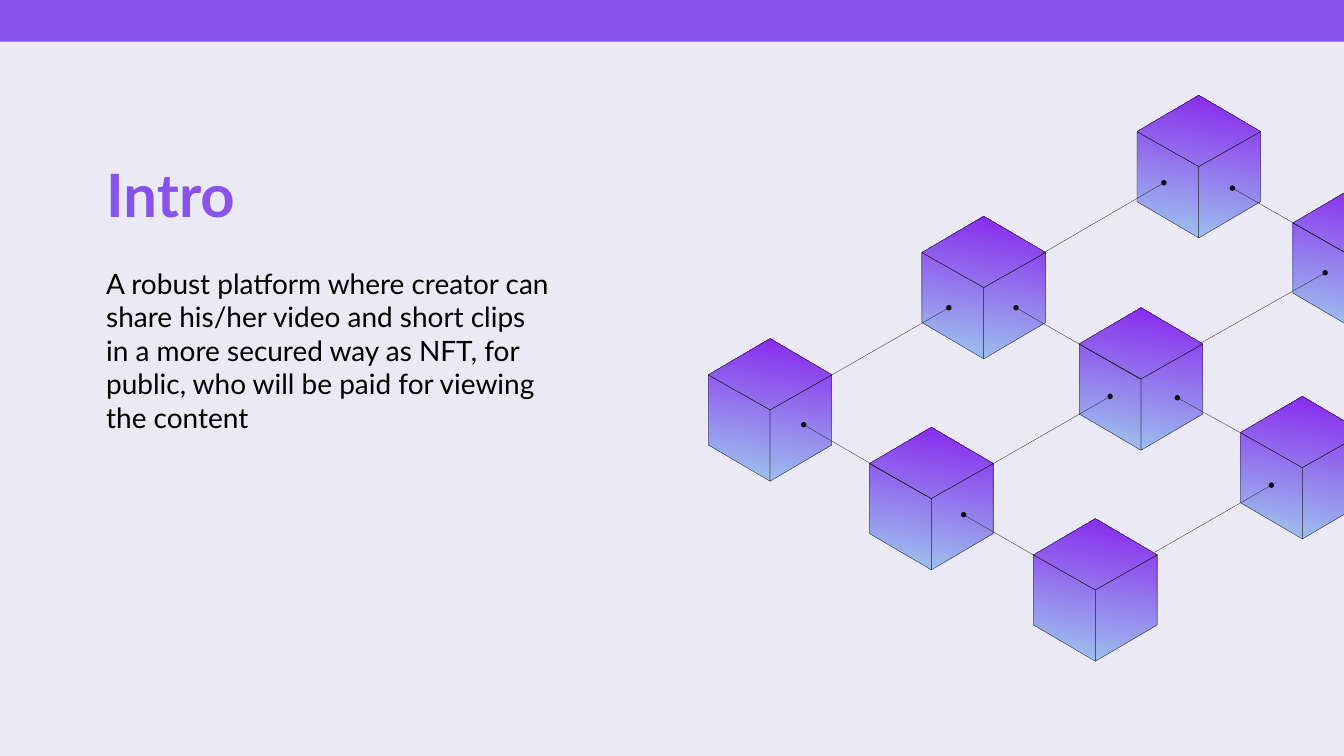
from pptx import Presentation, util as u
from pptx.dml.color import RGBColor
from pptx.enum import shapes, text
from lxml import etree

I = u.Inches
theme = dict(back="EAE9F4", main="8853ED", body="000000", ink="131115",
             low="9ECAED", high="8823ED", font="Lato", head=32, prose=15, hair=0.13)


def rgb(key):
    return RGBColor.from_string(theme[key])


def face(group, pts):
    pts = [(I(x), I(y)) for x, y in pts]
    pen = group.shapes.build_freeform(*pts[0])
    pen.add_line_segments(pts[1:], close=True)
    shape = pen.convert_to_shape()
    shape.shadow.inherit = False
    return shape


# Widescreen 16:9 slide
deck = Presentation()
deck.slide_width, deck.slide_height = I(10), I(10 * 9 / 16)
slide = deck.slides.add_slide(deck.slide_layouts[1])
slide.background.fill.solid()
slide.background.fill.fore_color.rgb = rgb("back")

# Top band
band = slide.shapes.add_shape(shapes.MSO_SHAPE.RECTANGLE, 0, 0, I(10), I(0.31))
band.shadow.inherit = False
band.fill.solid()
band.fill.fore_color.rgb = rgb("main")
band.line.fill.background()

# Title and body
title, body = slide.placeholders
anchor = text.MSO_ANCHOR
pitch = ("A robust platform where creator can share his/her\u00a0video and short clips "
         "in a more secured way as NFT, for public, who will be paid for viewing the content")
parts = [
    (title, (0.79, 0.56, 4.87, 1.15), "Intro", anchor.BOTTOM, "head", "main", True),
    (body, (0.79, 1.98, 3.33, 2.58), pitch, anchor.TOP, "prose", "body", False),
]
for shape, box, words, hold, size, color, bold in parts:
    shape.left, shape.top, shape.width, shape.height = map(I, box)
    frame = shape.text_frame
    frame.text = words
    look = dict(margin_left=0, margin_right=0, margin_top=0, margin_bottom=0,
                word_wrap=True, auto_size=text.MSO_AUTO_SIZE.NONE, vertical_anchor=hold)
    for key, val in look.items():
        setattr(frame, key, val)
    para = frame.paragraphs[0]
    para.alignment = text.PP_ALIGN.LEFT
    font = para.runs[0].font
    for key, val in dict(name=theme["font"], size=u.Pt(theme[size]), bold=bold).items():
        setattr(font, key, val)
    font.color.rgb = rgb(color)

# Body without bullet
props = body.text_frame.paragraphs[0]._p.get_or_add_pPr()
props.set("marL", "0")
props.set("indent", "0")
ns = "{http://schemas.openxmlformats.org/drawingml/2006/main}"
etree.SubElement(props, ns + "buNone")

# Cubes: top corner of each
chain = slide.shapes.add_group_shape()
tops = [(5.73, 2.52), (6.93, 3.18), (8.15, 3.86), (8.49, 2.29),
        (7.32, 1.61), (9.69, 2.95), (10.08, 1.39), (8.92, 0.71)]
half, rise, mid, drop, tall = 0.46, 0.27, 0.53, 0.79, 1.06
for x, y in tops:
    west, east = x - half, x + half
    cube = face(chain, [(x, y), (west, y + rise), (west, y + drop),
                        (x, y + tall), (east, y + drop), (east, y + rise)])
    cube.fill.gradient()
    cube.fill.gradient_angle = 80
    for stop, key in zip(cube.fill.gradient_stops, ("low", "high")):
        stop.color.rgb = rgb(key)
    cube.line.fill.background()

# Cube edges, leaving out faces beyond the slide
for x, y in tops:
    sides = [[(x, y + tall), (side, y + drop), (side, y + rise), (x, y + mid)]
             for side in (x - half, x + half) if x < 10 or side < x]
    lid = [(x + half, y + rise), (x, y + mid), (x - half, y + rise), (x, y)]
    for pts in sides + [lid]:
        edge = face(chain, pts)
        edge.fill.background()
        edge.line.color.rgb = rgb("ink")
        edge.line.width = u.Pt(theme["hair"])

# Links: dot centre, then far end
links = [(9.46, 3.61, 8.59, 4.11), (9.86, 2.03, 8.94, 2.55), (8.26, 2.95, 7.39, 3.45),
         (5.98, 3.16, 6.89, 3.69), (7.17, 3.83, 7.69, 4.13), (7.56, 2.29, 8.48, 2.82),
         (8.76, 2.96, 9.23, 3.22), (9.17, 1.4, 10.08, 1.92), (8.66, 1.36, 7.75, 1.89),
         (7.06, 2.29, 6.19, 2.79)]
dot = 0.04
for x, y, endx, endy in links:
    link = chain.shapes.add_connector(shapes.MSO_CONNECTOR.STRAIGHT, I(x), I(y), I(endx), I(endy))
    link.line.color.rgb = rgb("ink")
    link.line.width = u.Pt(theme["hair"])
    etree.SubElement(link._element.spPr, ns + "effectLst")
    node = chain.shapes.add_shape(shapes.MSO_SHAPE.OVAL, I(x - dot / 2), I(y - dot / 2), I(dot), I(dot))
    node.shadow.inherit = False
    node.fill.solid()
    node.fill.fore_color.rgb = rgb("ink")
    node.line.fill.background()

deck.save("out.pptx")
